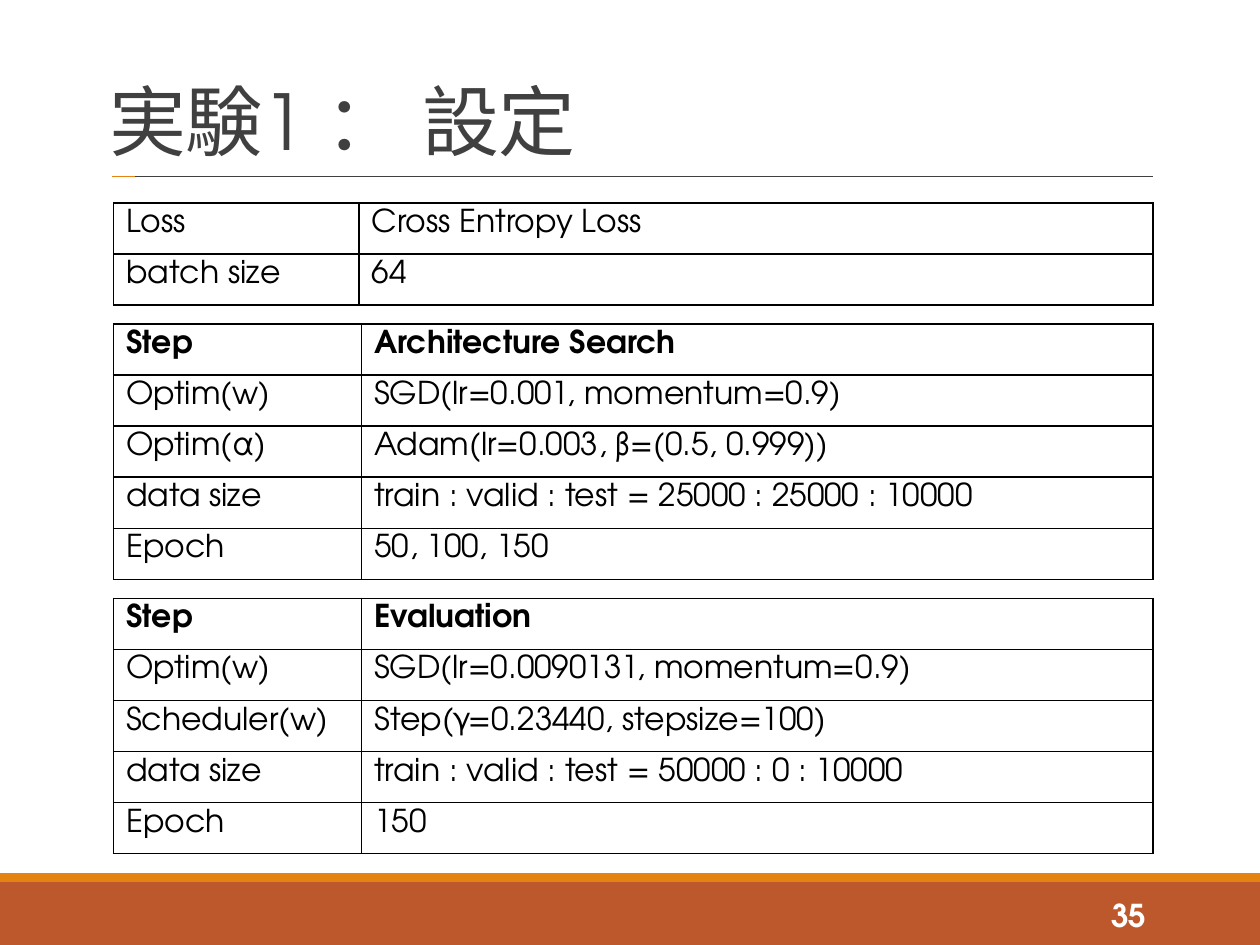
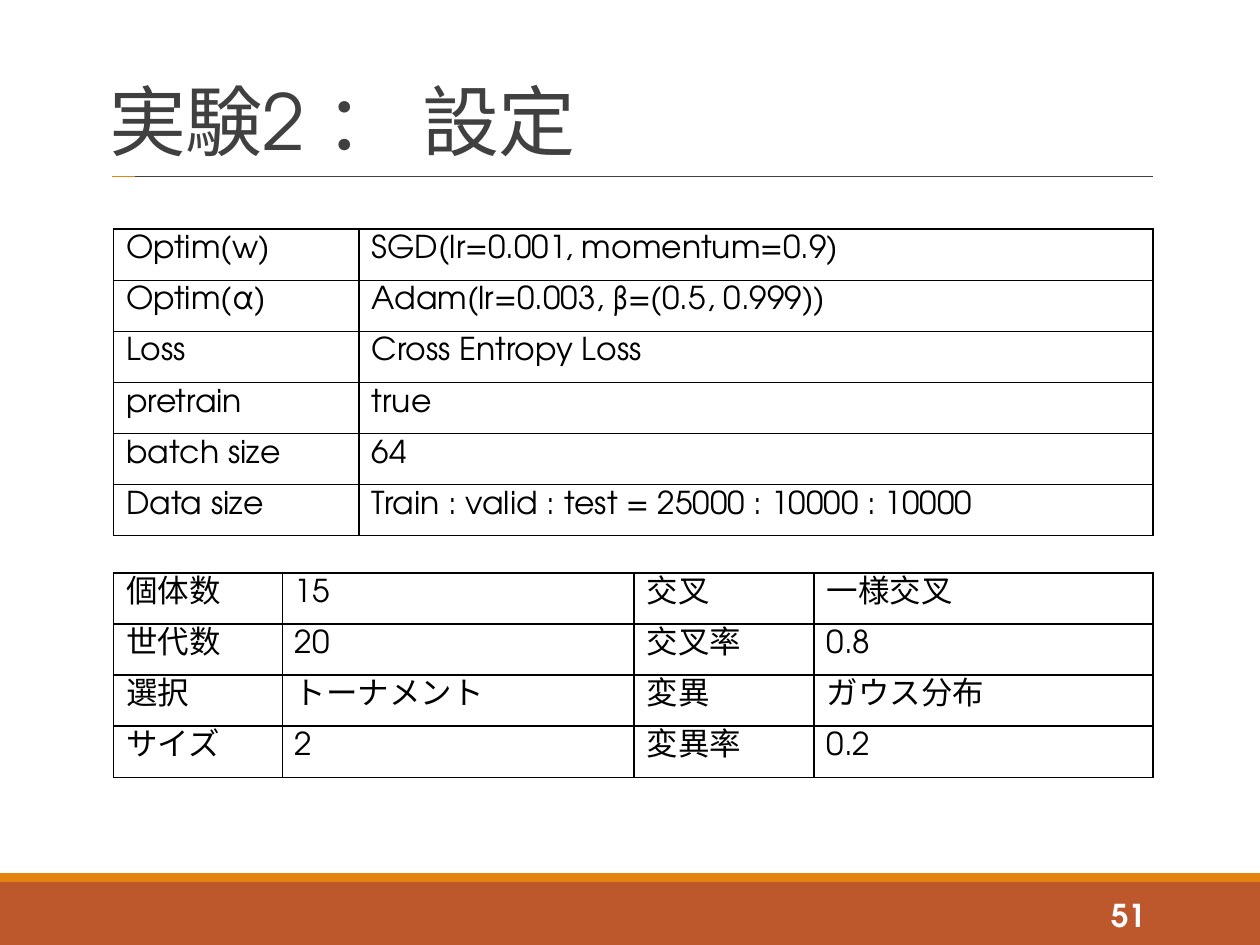
from dataclasses import dataclass

from lxml.etree import SubElement
from pptx import Presentation
from pptx.dml.color import RGBColor
from pptx.enum.shapes import MSO_CONNECTOR, MSO_SHAPE
from pptx.enum.text import MSO_ANCHOR, PP_ALIGN
from pptx.oxml import parse_xml
from pptx.oxml.ns import nsdecls, qn
from pptx.util import Cm, Pt


@dataclass(frozen=True)
class Theme:
    """Colours, font and type sizes shared by the slides."""
    rust: str = "BD582C"
    orange: str = "E48312"
    grey: str = "404040"
    black: str = "000000"
    white: str = "FFFFFF"
    font: str = "TeX Gyre Adventor"
    title: int = 44
    body: int = 18


T = Theme()
LEFT, RIGHT = 2.29, 23.24
ROW_H = 1.03


def write(tf, text, size=T.body, color=T.black, bold=False, align=PP_ALIGN.LEFT,
          anchor=MSO_ANCHOR.TOP, line_spacing=None, tracking=None):
    """Put one formatted paragraph into a text frame."""
    tf.word_wrap = True
    tf.vertical_anchor = anchor
    p = tf.paragraphs[0]
    p.alignment = align
    p.line_spacing = line_spacing
    r = p.add_run()
    r.text = text
    r.font.name = T.font
    r.font.size = Pt(size)
    r.font.bold = bold
    r.font.color.rgb = RGBColor.from_string(color)
    rPr = r.font._element
    SubElement(rPr, qn("a:ea")).set("typeface", T.font)
    if tracking is not None:
        rPr.set("spc", str(round(tracking * 100)))


def add_grid(s, top, first_cols, rows, header=False):
    """Add a ruled table whose last column reaches the right margin."""
    widths = [*first_cols, RIGHT - LEFT - sum(first_cols)]
    table = s.shapes.add_table(len(rows), len(widths), Cm(LEFT), Cm(top),
                               Cm(RIGHT - LEFT), Cm(ROW_H * len(rows))).table
    table.first_row = table.horz_banding = False
    for column, width in zip(table.columns, widths):
        column.width = Cm(width)
    for i, row in enumerate(rows):
        table.rows[i].height = Cm(ROW_H)
        for j, text in enumerate(row):
            cell = table.cell(i, j)
            write(cell.text_frame, text, bold=header and i == 0)
            cell.fill.background()
            tcPr = cell._tc.get_or_add_tcPr()
            for k, side in enumerate(("lnL", "lnR", "lnT", "lnB")):
                tcPr.insert(k, parse_xml(
                    f'<a:{side} {nsdecls("a")} w="{Pt(1)}"><a:solidFill>'
                    f'<a:srgbClr val="{T.black}"/></a:solidFill></a:{side}>'))


# Each table: top, widths of all columns but the last, rows, header flag
slides = [
    ("実験1 ： 設定", "35", [
        (4.09, [4.95], [
            ("Loss", "Cross Entropy Loss"),
            ("batch size", "64"),
        ], False),
        (6.53, [5], [
            ("Step", "Architecture Search"),
            ("Optim(w)", "SGD(lr=0.001, momentum=0.9)"),
            ("Optim(α)", "Adam(lr=0.003, β=(0.5, 0.999))"),
            ("data size", "train : valid : test = 25000 : 25000 : 10000"),
            ("Epoch", "50, 100, 150"),
        ], True),
        (12.06, [5], [
            ("Step", "Evaluation"),
            ("Optim(w)", "SGD(lr=0.0090131, momentum=0.9)"),
            ("Scheduler(w)", "Step(γ=0.23440, stepsize=100)"),
            ("data size", "train : valid : test = 50000 : 0 : 10000"),
            ("Epoch", "150"),
        ], True),
    ]),
    ("実験2 ： 設定", "51", [
        (4.62, [4.95], [
            ("Optim(w)", "SGD(lr=0.001, momentum=0.9)"),
            ("Optim(α)", "Adam(lr=0.003, β=(0.5, 0.999))"),
            ("Loss", "Cross Entropy Loss"),
            ("pretrain", "true"),
            ("batch size", "64"),
            ("Data size", "Train : valid : test = 25000 : 10000 : 10000"),
        ], False),
        (11.55, [3.4, 7.09, 3.63], [
            ("個体数", "15", "交叉", "一様交叉"),
            ("世代数", "20", "交叉率", "0.8"),
            ("選択", "トーナメント", "変異", "ガウス分布"),
            ("サイズ", "2", "変異率", "0.2"),
        ], False),
    ]),
]

prs = Presentation()
prs.slide_width, prs.slide_height = Cm(25.4), Cm(19.05)

for title, number, tables in slides:
    s = prs.slides.add_slide(prs.slide_layouts[6])

    # Footer bands
    for top, height, color in ((17.78, 1.27, T.rust), (17.6, 0.18, T.orange)):
        band = s.shapes.add_shape(MSO_SHAPE.RECTANGLE, 0, Cm(top),
                                  prs.slide_width, Cm(height))
        band.shadow.inherit = False
        band.fill.solid()
        band.fill.fore_color.rgb = RGBColor.from_string(color)
        band.line.fill.background()

    # Two-coloured rule under the title
    for start, end, color in ((2.72, RIGHT, T.grey), (2.26, 2.72, T.orange)):
        rule = s.shapes.add_connector(MSO_CONNECTOR.STRAIGHT, Cm(start), Cm(3.56),
                                      Cm(end), Cm(3.56))
        rule.line.color.rgb = RGBColor.from_string(color)
        rule.line.width = Pt(1)
        SubElement(rule._element.spPr, qn("a:effectLst"))

    tb = s.shapes.add_textbox(Cm(1.96), Cm(0.64), Cm(21.28), Cm(2.84))
    write(tb.text_frame, title, size=T.title, color=T.grey,
          anchor=MSO_ANCHOR.BOTTOM, line_spacing=0.85, tracking=-0.5)

    tb = s.shapes.add_textbox(Cm(20.62), Cm(17.93), Cm(2.74), Cm(1.02))
    write(tb.text_frame, number, color=T.white, bold=True,
          align=PP_ALIGN.RIGHT, anchor=MSO_ANCHOR.MIDDLE)

    for top, first_cols, rows, header in tables:
        add_grid(s, top, first_cols, rows, header)

prs.save("out.pptx")
